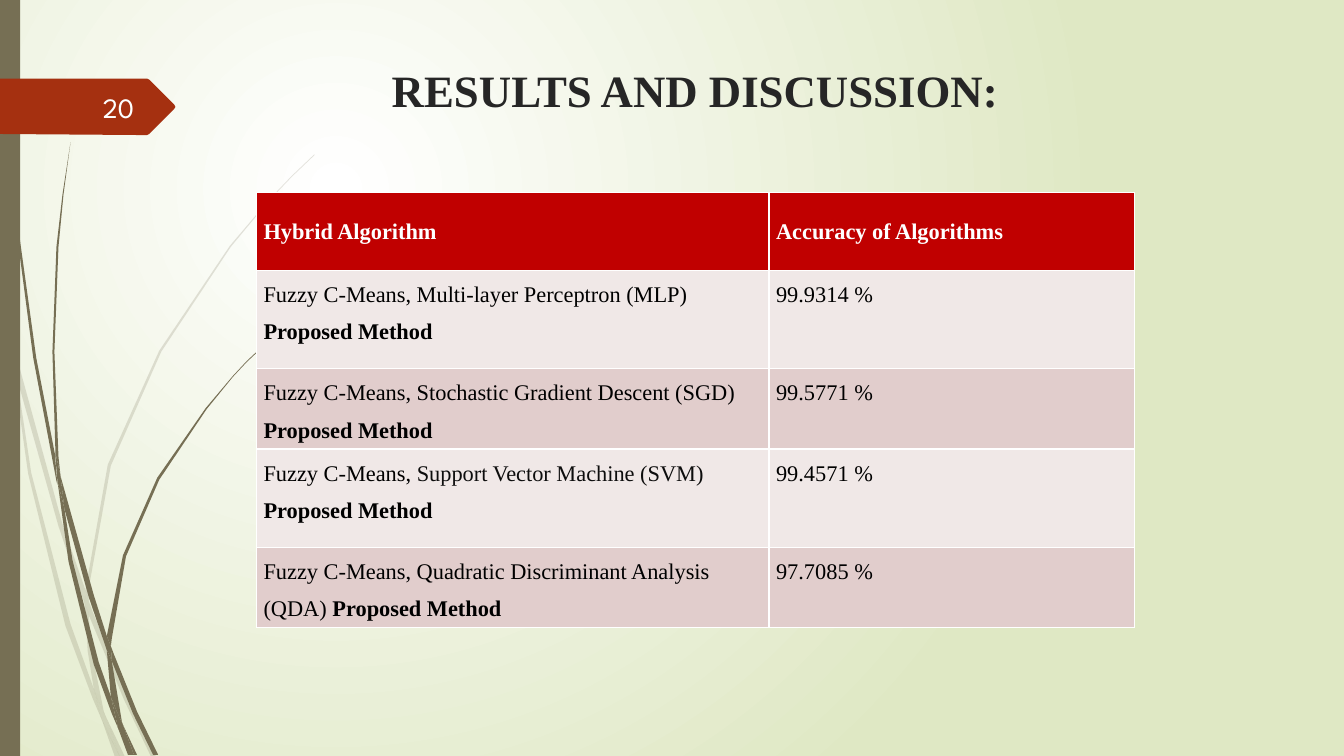
import dataclasses
import typing

import lxml.etree
import pptx
import pptx.dml.color
import pptx.enum.shapes
import pptx.enum.text
import pptx.oxml.ns
import pptx.util

CELL = pptx.util.Inches(0.1)  # one column or row of the layout grid
COLUMNS, ROWS = 133.33, 75
Point = tuple[float, float]
ALIGN = pptx.enum.text.PP_ALIGN
ANCHOR = pptx.enum.text.MSO_ANCHOR
SHAPE = pptx.enum.shapes.MSO_SHAPE
qn = pptx.oxml.ns.qn


@dataclasses.dataclass(frozen=True)
class Theme:
    serif: str = "Times New Roman"
    geometric: str = "League Spartan"
    title_size: int = 32
    number_size: int = 20
    table_size: int = 16
    olive: str = "766F54"
    rust: str = "A53010"
    header: str = "C00000"
    bands: tuple[str, str] = ("F0E8E7", "E1CDCC")
    glow: tuple[str, str] = ("FFFFFF", "DFE8C4")
    white: str = "FFFFFF"
    number: str = "FEFFFF"
    heading: str = "262626"
    ink: str = "000000"
    soft_ink: str = "0D0D0D"


THEME = Theme()


@dataclasses.dataclass(frozen=True)
class Grass:
    """A tuft of grass, as outlines of its leaf pieces in columns and rows."""
    leaves: list[list[Point]]
    opacity: int = 100


@dataclasses.dataclass(frozen=True)
class Result:
    method: str
    accuracy: str
    ink: str = THEME.ink


PALE_GRASS = Grass([
    [(1.1, 35), (0.9, 32.2), (0, 28.2), (0, 29.9), (1, 34.4)],
    [(5.8, 52.2), (8.4, 59.9), (8.5, 58.6), (6.2, 52), (1.4, 34.5), (1.7, 37.6)],
    [(9.2, 60.7), (8.8, 59.6), (8.8, 61), (12.3, 69.4), (15, 75.1), (15.5, 75.1),
     (12.7, 69.2)],
    [(11.9, 75.1), (12.4, 75.1), (10.5, 71.1)],
    [(9.3, 68.3), (7, 61.9), (3.1, 46.9), (1.7, 37.6), (1.1, 35), (2.8, 47),
     (6.5, 62.1), (9.2, 69.3), (10.1, 71.4), (9.9, 70.7)],
    [(8.4, 59.9), (8.7, 64.6), (9.3, 68.3), (9.6, 69.2), (10.5, 71.1), (10.3, 70.6),
     (9.1, 64.6), (8.8, 61), (8.8, 60.8)],
    [(8.8, 58.4), (11, 46.2), (16, 34.9), (22.9, 24.5), (26.8, 19.8), (29, 17.5),
     (31.2, 15.4), (31.2, 15.3), (28.9, 17.5), (26.8, 19.7), (22.8, 24.4),
     (15.8, 34.8), (10.7, 46.1), (8.5, 58.4), (8.5, 58.6), (8.8, 59.6)],
    [(10.1, 71.4), (11.4, 75.1), (11.9, 75.1)],
    [(8.8, 60.8), (8.8, 61), (8.8, 59.6), (8.5, 58.6), (8.4, 59.9)],
    [(9.6, 69.2), (9.3, 68.3), (9.9, 70.7), (10.1, 71.4), (11.9, 75.1), (10.5, 71.1)],
], 20)

DARK_GRASS = Grass([
    [(0.7, 11), (1.7, 23.3), (3.3, 35.5), (5.6, 47.7), (5.7, 48.1), (5.5, 45.7),
     (5.5, 45.3), (3.6, 35.5), (1.9, 23.2), (0.8, 10.9), (0.5, 4.8), (0.4, 0),
     (0.3, 0), (0.4, 4.8)],
    [(8.8, 59.2), (10.6, 64.5), (10.6, 63.1), (9.3, 59), (6, 47.2), (6.4, 50.5)],
    [(11.3, 64.9), (11, 64.1), (11.1, 65.6), (13.2, 70.8), (15.2, 74.9), (15.7, 74.9),
     (13.6, 70.6)],
    [(11, 69.1), (9.8, 65.7), (7.2, 55.6), (6.4, 50.5), (5.7, 47.7), (6.8, 55.7),
     (9.3, 65.9), (11.1, 70.8), (11.7, 72.2), (11.6, 71.7)],
    [(6, 47.2), (5.8, 45.3), (5.4, 34.9), (5.8, 24.5), (6.3, 19.3), (7, 14.1),
     (6.2, 19.3), (5.6, 24.5), (5.2, 34.9), (5.5, 44.9)],
    [(13.3, 74.9), (13.6, 74.9), (12.2, 71.9)],
    [(5.7, 47.7), (6.4, 50.5), (6, 47.2), (5.5, 44.9), (5.5, 45.3)],
    [(11.1, 63.3), (12.5, 55.2), (15.8, 47.6), (20.5, 40.6), (23.1, 37.4),
     (24.5, 35.9), (26.1, 34.4), (26, 34.4), (24.5, 35.8), (23.1, 37.3),
     (20.4, 40.5), (15.6, 47.4), (12.2, 55.1), (10.6, 63.1), (11, 64.1)],
    [(11.7, 72.2), (12.7, 74.9), (13.1, 74.9)],
    [(10.6, 64.5), (11, 69.1), (11.6, 70.6), (12.2, 71.9), (12.1, 71.6), (11.1, 65.6),
     (10.9, 65.1)],
    [(10.6, 64.5), (10.9, 65.1), (11.1, 65.6), (11, 64.1), (10.6, 63.1)],
    [(11.6, 70.6), (11, 69.1), (11.6, 71.7), (11.7, 72.2), (13, 74.9), (13.3, 74.9),
     (12.2, 71.9)],
])

NUMBER_TAB = [(17.3, 10.8), (14.8, 13.3), (14.6, 13.4), (13.6, 13.4), (0, 13.3),
              (0, 7.8), (14.6, 7.8), (14.8, 7.9), (17.3, 10.4), (17.4, 10.6)]

HEADINGS = ("Hybrid Algorithm", "Accuracy of Algorithms")
RESULTS = [
    Result("Multi-layer Perceptron (MLP) ", "99.9314 %"),
    Result("Stochastic Gradient Descent (SGD) ", "99.5771 %"),
    Result("Support Vector Machine (SVM) ", "99.4571 %", THEME.soft_ink),
    Result("Quadratic Discriminant Analysis (QDA) ", "97.7085 %"),
]
TABLE_COLUMNS = (50.85, 36.25)
TABLE_ROWS = (7.7, 9.75, 7.9, 9.75, 7.7)


def grid(*cells: float) -> list[pptx.util.Emu]:
    return [pptx.util.Emu(round(cell * CELL)) for cell in cells]


def rgb(color: str) -> pptx.dml.color.RGBColor:
    return pptx.dml.color.RGBColor.from_string(color)


def write(paragraph: typing.Any, text: str, *, size: int, color: str = THEME.ink,
          bold: bool = False, font: str = THEME.serif) -> None:
    run = paragraph.add_run()
    run.text = text
    run.font.name, run.font.size, run.font.bold = font, pptx.util.Pt(size), bold
    run.font.color.rgb = rgb(color)


def paint(shape: typing.Any, color: str, opacity: int = 100) -> None:
    shape.shadow.inherit = False
    shape.fill.solid()
    shape.fill.fore_color.rgb = rgb(color)
    shape.line.fill.background()
    if opacity < 100:
        tint = shape.element.find(".//" + qn("a:srgbClr"))
        lxml.etree.SubElement(tint, qn("a:alpha"), val=str(opacity * 1000))


def draw_outline(shapes: typing.Any, points: list[Point], color: str,
                 opacity: int = 100) -> None:
    start, *others = [grid(*point) for point in points]
    builder = shapes.build_freeform(*start)
    builder.add_line_segments(others, close=True)
    paint(builder.convert_to_shape(), color, opacity)


def draw_background(slide: typing.Any) -> None:
    """Fill the slide with a round glow centred in its upper left quarter."""
    fill = slide.background.fill
    fill.gradient()
    for stop, color in zip(fill.gradient_stops, THEME.glow):
        stop.color.rgb = rgb(color)
    gradient = slide.element.find(".//" + qn("a:gradFill"))
    circle = lxml.etree.Element(qn("a:path"), path="circle")
    lxml.etree.SubElement(circle, qn("a:fillToRect"),
                          l="50000", t="50000", r="100000", b="100000")
    gradient.replace(gradient.find(qn("a:lin")), circle)


def style_cell(cell: typing.Any, color: str) -> None:
    """Set the insets, fill and white one-point borders of a cell."""
    cell.margin_left = cell.margin_right = grid(0.7)[0]
    cell.margin_top = cell.margin_bottom = 0
    for side in ("a:lnL", "a:lnR", "a:lnT", "a:lnB"):
        border = lxml.etree.SubElement(cell._tc.tcPr, qn(side), w="12700")
        solid = lxml.etree.SubElement(border, qn("a:solidFill"))
        lxml.etree.SubElement(solid, qn("a:srgbClr"), val=THEME.white)
    cell.fill.solid()
    cell.fill.fore_color.rgb = rgb(color)


def draw_results(slide: typing.Any) -> None:
    table = slide.shapes.add_table(
        len(TABLE_ROWS), len(TABLE_COLUMNS),
        *grid(25.45, 19.1, sum(TABLE_COLUMNS), sum(TABLE_ROWS))).table
    table.horz_banding = False
    for column, width in zip(table.columns, grid(*TABLE_COLUMNS)):
        column.width = width
    for row, height in zip(table.rows, grid(*TABLE_ROWS)):
        row.height = height

    size = THEME.table_size
    for cell, heading in zip(table.rows[0].cells, HEADINGS):
        style_cell(cell, THEME.header)
        cell.vertical_anchor = ANCHOR.MIDDLE
        line = cell.text_frame.paragraphs[0]
        line.alignment, line.line_spacing = ALIGN.JUSTIFY, 1.07
        line.space_after = pptx.util.Pt(12)
        write(line, heading, size=size, color=THEME.white, bold=True)

    for index, result in enumerate(RESULTS):
        cells = list(table.rows[index + 1].cells)
        for cell in cells:
            style_cell(cell, THEME.bands[index % 2])
            line = cell.text_frame.paragraphs[0]
            line.line_spacing, line.space_before = 1.5, pptx.util.Pt(12)
        algorithm, accuracy = (cell.text_frame.paragraphs[0] for cell in cells)
        write(algorithm, "Fuzzy C-Means, ", size=size)
        write(algorithm, result.method, size=size, color=result.ink)
        write(algorithm, "Proposed Method", size=size, bold=True)
        write(accuracy, result.accuracy, size=size)


def main() -> None:
    deck = pptx.Presentation()
    deck.slide_width, deck.slide_height = grid(COLUMNS, ROWS)
    slide = deck.slides.add_slide(deck.slide_layouts[5])
    draw_background(slide)
    for grass in (PALE_GRASS, DARK_GRASS):
        tuft = slide.shapes.add_group_shape()
        for leaf in grass.leaves:
            draw_outline(tuft.shapes, leaf, THEME.olive, grass.opacity)
    paint(slide.shapes.add_shape(SHAPE.RECTANGLE, *grid(0, 0, 2, ROWS)), THEME.olive)
    draw_outline(slide.shapes, NUMBER_TAB, THEME.rust)

    title = slide.shapes.title
    title.left, title.top, title.width, title.height = grid(30.75, 5.7, 76.4, 7)
    title.text_frame.vertical_anchor = ANCHOR.TOP
    heading = title.text_frame.paragraphs[0]
    heading.alignment = ALIGN.CENTER
    write(heading, "RESULTS AND DISCUSSION:", size=THEME.title_size,
          color=THEME.heading, bold=True)

    page = slide.shapes.add_textbox(*grid(5.8, 8.6, 8.5, 4)).text_frame
    page.word_wrap, page.vertical_anchor = True, ANCHOR.MIDDLE
    page.paragraphs[0].alignment = ALIGN.RIGHT
    write(page.paragraphs[0], "20", size=THEME.number_size, color=THEME.number,
          font=THEME.geometric)

    draw_results(slide)
    deck.save("out.pptx")


if __name__ == "__main__":
    main()
